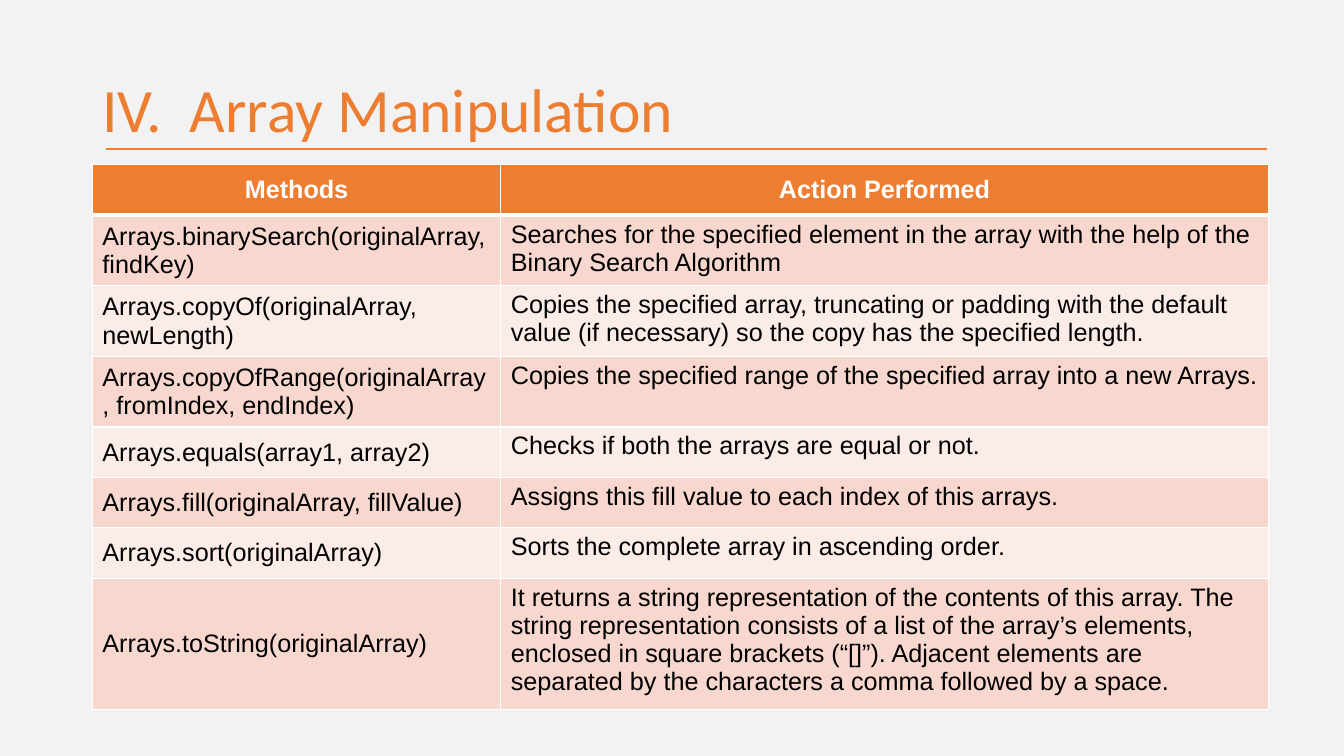
from dataclasses import dataclass

from lxml import etree
from pptx import Presentation
from pptx.dml.color import RGBColor
from pptx.enum.shapes import MSO_CONNECTOR
from pptx.enum.text import MSO_ANCHOR, PP_ALIGN
from pptx.oxml.ns import qn
from pptx.util import Emu, Pt

LINE = MSO_CONNECTOR.STRAIGHT
TOP, MIDDLE = MSO_ANCHOR.TOP, MSO_ANCHOR.MIDDLE
LEFT, CENTER = PP_ALIGN.LEFT, PP_ALIGN.CENTER


@dataclass(frozen=True)
class Theme:
    back: str = "F2F2F2"
    accent: str = "ED7D31"
    bands: tuple = ("F8D7CE", "FCECE8")
    light: str = "FFFFFF"
    dark: str = "000000"
    head_font: str = "Calibri"
    body_font: str = "Arial"
    head_size: int = 44
    body_size: int = 18


def px(count):
    return Emu(count * 9525)


def rgb(code):
    return RGBColor.from_string(code)


class Deck:
    def __init__(self, theme):
        self.theme = theme
        self.file = Presentation()
        self.file.slide_width, self.file.slide_height = px(1280), px(720)
        self.slide = self.file.slides.add_slide(self.file.slide_layouts[6])
        fill = self.slide.background.fill
        fill.solid()
        fill.fore_color.rgb = rgb(theme.back)

    def style(self, para, font, size, color, bold=False):
        for run in para.runs:
            run.font.name, run.font.size = font, Pt(size)
            run.font.bold = bold
            run.font.color.rgb = rgb(color)

    def title(self, text, left, top, width, height):
        box = self.slide.shapes.add_textbox(px(left), px(top), px(width), px(height))
        frame = box.text_frame
        frame.word_wrap = True
        frame.vertical_anchor = MIDDLE
        frame.text = text
        para = frame.paragraphs[0]
        para.line_spacing = 0.9
        self.style(para, self.theme.head_font, self.theme.head_size, self.theme.accent)

    def rule(self, left, right, y):
        line = self.slide.shapes.add_connector(LINE, px(left), px(y), px(right), px(y))
        line.line.color.rgb = rgb(self.theme.accent)
        line.line.width = Pt(1.5)
        etree.SubElement(line._element.spPr, qn("a:effectLst"))

    def border(self, cell, widths):
        props = cell._tc.get_or_add_tcPr()
        for spot, (side, width) in enumerate(widths.items()):
            edge = etree.Element(qn("a:ln" + side), w=str(Pt(width)))
            fill = etree.SubElement(edge, qn("a:solidFill"))
            etree.SubElement(fill, qn("a:srgbClr"), val=self.theme.light)
            props.insert(spot, edge)

    def cell(self, cell, text, row, col):
        theme = self.theme
        head = row == 0
        cell.fill.solid()
        cell.fill.fore_color.rgb = rgb(theme.accent if head else theme.bands[(row - 1) % 2])
        self.border(cell, {"L": 1, "R": 1, "T": 3 if row == 1 else 1, "B": 3 if head else 1})
        cell.vertical_anchor = MIDDLE if head or col == 0 else TOP
        cell.text_frame.text = text
        para = cell.text_frame.paragraphs[0]
        para.alignment = CENTER if head else LEFT
        self.style(para, theme.body_font, theme.body_size,
                   theme.light if head else theme.dark, head)

    def table(self, rows, left, top, widths, height):
        shape = self.slide.shapes.add_table(len(rows), len(widths), px(left), px(top),
                                            px(sum(widths)), px(height * len(rows)))
        grid = shape.table
        for col, width in enumerate(widths):
            grid.columns[col].width = px(width)
        for row, texts in enumerate(rows):
            grid.rows[row].height = px(height)
            for col, text in enumerate(texts):
                self.cell(grid.cell(row, col), text, row, col)


METHODS = [
    ("Methods", "Action Performed"),
    ("Arrays.binarySearch(originalArray, findKey)",
     "Searches for the specified element in the array with the help of the "
     "Binary Search Algorithm"),
    ("Arrays.copyOf(originalArray, newLength)",
     "Copies the specified array, truncating or padding with the default value "
     "(if necessary) so the copy has the specified length."),
    ("Arrays.copyOfRange(originalArray, fromIndex, endIndex)",
     "Copies the specified range of the specified array into a new Arrays."),
    ("Arrays.equals(array1, array2)", "Checks if both the arrays are equal or not."),
    ("Arrays.fill(originalArray, fillValue)",
     "Assigns this fill value to each index of this arrays."),
    ("Arrays.sort(originalArray)", "Sorts the complete array in ascending order."),
    ("Arrays.toString(originalArray)",
     "It returns a string representation of the contents of this array. The string "
     "representation consists of a list of the array’s elements, enclosed in square "
     "brackets (“[]”). Adjacent elements are separated by the characters a comma "
     "followed by a space."),
]


def main():
    deck = Deck(Theme())

    # Heading with its rule
    deck.rule(101, 1207, 142)
    deck.title("IV.  Array Manipulation", 88, 38, 1104, 139)

    # Table of methods; rows grow with their text
    deck.table(METHODS, 88, 157, (389, 731), 48)

    deck.file.save("out.pptx")


if __name__ == "__main__":
    main()
